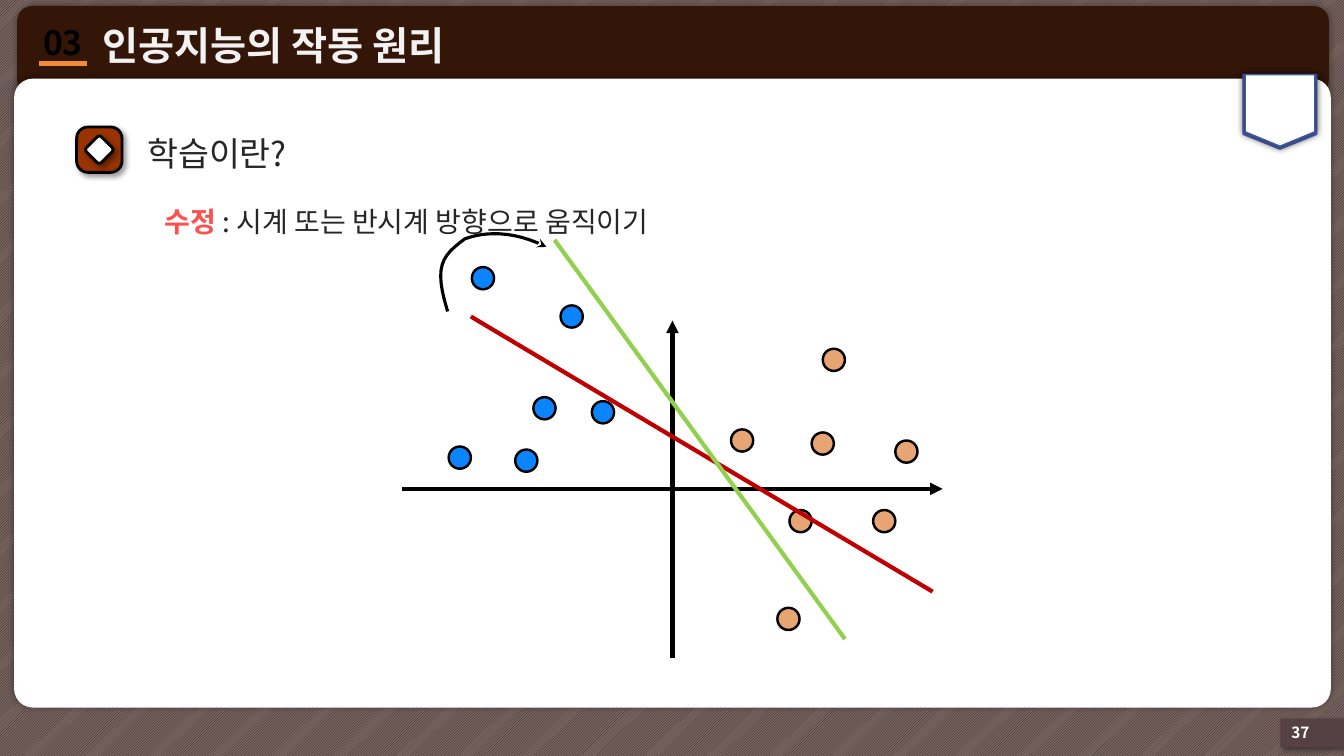
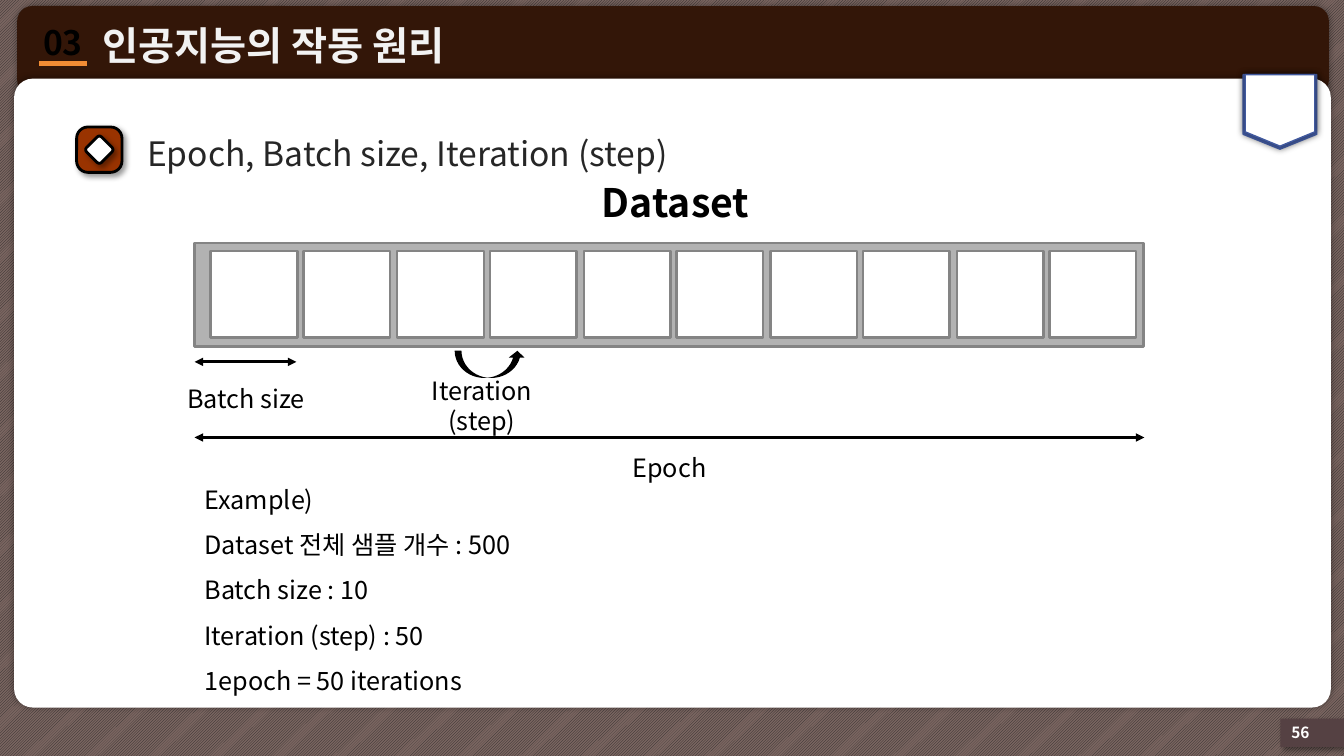
from lxml import etree
from pptx import Presentation
from pptx.dml.color import RGBColor
from pptx.enum.dml import MSO_PATTERN
from pptx.enum.shapes import MSO_CONNECTOR, MSO_SHAPE
from pptx.enum.text import MSO_ANCHOR, PP_ALIGN
from pptx.oxml.ns import qn
from pptx.util import Pt

PX = 9144
FONT = "Noto Sans CJK KR"

BLACK = RGBColor(0x00, 0x00, 0x00)
WHITE = RGBColor(0xFF, 0xFF, 0xFF)
INK = RGBColor(0x26, 0x26, 0x26)
TITLE_TEXT = RGBColor(0xF2, 0xF2, 0xF2)
BACKDROP = RGBColor(0x7A, 0x65, 0x60)
HEADER = RGBColor(0x33, 0x16, 0x08)
PAGE_TAB = RGBColor(0x55, 0x41, 0x43)
ORANGE = RGBColor(0xF2, 0x8C, 0x34)
NAVY = RGBColor(0x41, 0x59, 0x9E)
RUST = RGBColor(0x99, 0x33, 0x00)
CORAL = RGBColor(0xFF, 0x50, 0x50)
BLUE = RGBColor(0x0A, 0x85, 0xFF)
TAN = RGBColor(0xE7, 0xA5, 0x74)
RED = RGBColor(0xC0, 0x00, 0x00)
GREEN = RGBColor(0x92, 0xD0, 0x50)
TRAY = RGBColor(0xB2, 0xB2, 0xB2)
TRAY_EDGE = RGBColor(0x84, 0x84, 0x84)

RECT = MSO_SHAPE.RECTANGLE
ROUND = MSO_SHAPE.ROUNDED_RECTANGLE
OVAL = MSO_SHAPE.OVAL
PENNANT = MSO_SHAPE.FLOWCHART_OFFPAGE_CONNECTOR
CURVED_UP = MSO_SHAPE.CURVED_UP_ARROW
STRAIGHT = MSO_CONNECTOR.STRAIGHT
HATCH = MSO_PATTERN.LIGHT_UPWARD_DIAGONAL
TOP, MIDDLE = MSO_ANCHOR.TOP, MSO_ANCHOR.MIDDLE
LEFT, CENTER = PP_ALIGN.LEFT, PP_ALIGN.CENTER

GLOW = (5, 0, 0)
DROP = (4, 3, 45)


def add_run(paragraph, text, *, size, color=BLACK, bold=False):
    run = paragraph.add_run()
    run.text = text
    run.font.size = Pt(size)
    run.font.bold = bold
    run.font.color.rgb = color
    run.font.name = FONT
    properties = run.font._element
    etree.SubElement(properties, qn("a:ea"), typeface=FONT)


def bezier(start, first, second, end, steps=12):
    for step in range(1, steps + 1):
        t = step / steps
        u = 1 - t
        weights = (u ** 3, 3 * u * u * t, 3 * u * t * t, t ** 3)
        yield tuple(
            round(PX * sum(w * c for w, c in zip(weights, coords)))
            for coords in zip(start, first, second, end)
        )


class Deck:
    def __init__(self):
        self.presentation = Presentation()
        self.presentation.slide_width = 1333 * PX
        self.presentation.slide_height = 750 * PX
        self.shapes = None

    def new_slide(self, heading, page):
        layout = self.presentation.slide_layouts[6]
        self.shapes = self.presentation.slides.add_slide(layout).shapes
        backdrop = self.shape(RECT, (-2, -9, 1338, 767), BACKDROP)
        backdrop.fill.patterned()
        backdrop.fill.pattern = HATCH
        backdrop.fill.fore_color.rgb = INK
        backdrop.fill.back_color.rgb = BACKDROP
        self.shape(ROUND, (17, 6, 1301, 88), HEADER, adjust=[0.17], shadow=GLOW)
        self.shape(ROUND, (14, 78, 1306, 624), WHITE, adjust=[0.03], shadow=GLOW)
        self.shape(RECT, (1270, 713, 66, 28), PAGE_TAB, shadow=DROP)
        self.line((39, 63), (86, 63), ORANGE)
        self.text((30, 17, 65, 50), "03", size=24, bold=True, align=CENTER,
                  anchor=TOP, wrap=False)
        self.text((95, 14, 860, 60), "인공지능의 작동 원리", size=28,
                  color=TITLE_TEXT, bold=True, inset=7)
        self.shape(PENNANT, (1233, 74, 73, 74), NAVY, NAVY, 1, shadow=GLOW)
        self.shape(PENNANT, (1235, 74, 69, 71), WHITE, NAVY, 1, shadow=GLOW)
        self.text((1271, 707, 76, 40), page, size=11, color=WHITE, bold=True)
        self.text((139, 125, 813, 54), heading, size=24, color=INK, inset=7)
        self.shape(ROUND, (76, 126, 45, 45), RUST, BLACK, 2, adjust=[0.25],
                   shadow=DROP)
        diamond = self.shape(ROUND, (88, 138, 21, 21), WHITE, BLACK, 2,
                             adjust=[0.15], shadow=DROP)
        diamond.rotation = 45

    def shape(self, kind, box, fill, edge=None, weight=1.75, adjust=(),
              shadow=None):
        shape = self.shapes.add_shape(kind, *(n * PX for n in box))
        for index, value in enumerate(adjust):
            shape.adjustments[index] = value
        shape.fill.solid()
        shape.fill.fore_color.rgb = fill
        if edge is None:
            shape.line.fill.background()
        else:
            shape.line.color.rgb = edge
            shape.line.width = Pt(weight)
        shape.shadow.inherit = False
        if shadow:
            blur, distance, angle = shadow
            effects = shape.element.spPr.find(qn("a:effectLst"))
            outer = etree.SubElement(
                effects, qn("a:outerShdw"), blurRad=str(Pt(blur)),
                dist=str(Pt(distance)), dir=str(angle * 60000),
                algn="ctr", rotWithShape="0")
            tint = etree.SubElement(outer, qn("a:srgbClr"), val=str(BLACK))
            etree.SubElement(tint, qn("a:alpha"), val="40000")
        return shape

    def stroke(self, outline, color, weight, head=None, tail=None):
        outline.line.color.rgb = color
        outline.line.width = Pt(weight)
        ln = outline.element.spPr.find(qn("a:ln"))
        for tag, kind in (("a:headEnd", head), ("a:tailEnd", tail)):
            if kind:
                etree.SubElement(ln, qn(tag), type=kind)

    def line(self, start, end, color=BLACK, weight=3, head=None, tail=None):
        connector = self.shapes.add_connector(
            STRAIGHT, *(n * PX for n in start + end))
        self.stroke(connector, color, weight, head, tail)
        etree.SubElement(connector.element.spPr, qn("a:effectLst"))

    def curve(self, start, *segments, weight, tail):
        builder = self.shapes.build_freeform(*(n * PX for n in start))
        for first, second, end in segments:
            builder.add_line_segments(bezier(start, first, second, end),
                                      close=False)
            start = end
        arc = builder.convert_to_shape()
        arc.fill.background()
        arc.shadow.inherit = False
        self.stroke(arc, BLACK, weight, tail=tail)

    def text(self, box, *lines, align=LEFT, anchor=MIDDLE, inset=None,
             spacing=None, wrap=True, **style):
        frame = self.shapes.add_textbox(*(n * PX for n in box)).text_frame
        frame.word_wrap = wrap
        frame.vertical_anchor = anchor
        if inset is not None:
            frame.margin_left = frame.margin_right = inset * PX
            frame.margin_top = frame.margin_bottom = inset * PX
        for index, content in enumerate(lines):
            paragraph = frame.add_paragraph() if index else frame.paragraphs[0]
            paragraph.alignment = align
            if spacing:
                paragraph.line_spacing = spacing
            add_run(paragraph, content, **style)
        return paragraph

    def dots(self, color, corners):
        for left, top in corners:
            self.shape(OVAL, (left, top, 22, 22), color, BLACK)


def build_learning(deck):
    deck.new_slide("학습이란?", "37")
    deck.line((399, 485), (935, 485), tail="triangle")
    deck.line((667, 653), (667, 318), tail="triangle")
    deck.dots(BLUE, [(529, 394), (587, 398), (556, 303), (445, 443),
                     (511, 446), (468, 265)])
    deck.dots(TAN, [(783, 506), (805, 429), (866, 506), (888, 437),
                    (816, 346), (725, 426), (771, 603)])
    correction = deck.text((156, 179, 986, 64), "수정 ", size=20, color=CORAL,
                           bold=True, anchor=TOP, inset=7, spacing=1.5)
    add_run(correction, ": 시계 또는 반시계 방향으로 움직이기", size=20, color=INK)
    deck.line((467, 314), (925, 587), RED)
    deck.line((550, 238), (838, 634), GREEN)
    deck.curve((444, 309), ((430, 264), (438, 254), (461, 237)),
               ((480, 230), (508, 228), (542, 245)),
               weight=2.25, tail="stealth")


def build_epoch(deck):
    deck.new_slide("Epoch, Batch size, Iteration (step)", "56")
    deck.shape(RECT, (193, 241, 941, 103), TRAY, TRAY_EDGE)
    for batch in range(10):
        left = 209 + round(batch * 832 / 9)
        deck.shape(RECT, (left, 249, 86, 86), WHITE, TRAY_EDGE)
    for right, y in ((294, 359), (1135, 434)):
        deck.line((193, y), (right, y), weight=2, head="triangle",
                  tail="triangle")
    deck.text((579, 172, 182, 57), "Dataset", size=28, bold=True, align=CENTER)
    deck.shape(CURVED_UP, (451, 348, 70, 27), BLACK, adjust=[0.25, 0.57, 0.25])
    for label, left, top in (("Batch size", 153, 375), ("Epoch", 573, 444),
                             ("Iteration (step)", 387, 382)):
        deck.text((left, top, 182, 40), label, size=18, align=CENTER)
    deck.text((193, 461, 560, 233), "Example)", "Dataset 전체 샘플 개수 : 500",
              "Batch size : 10", "Iteration (step) : 50",
              "1epoch = 50 iterations", size=18, spacing=1.5)


def main():
    deck = Deck()
    build_learning(deck)
    build_epoch(deck)
    deck.presentation.save("out.pptx")


if __name__ == "__main__":
    main()
